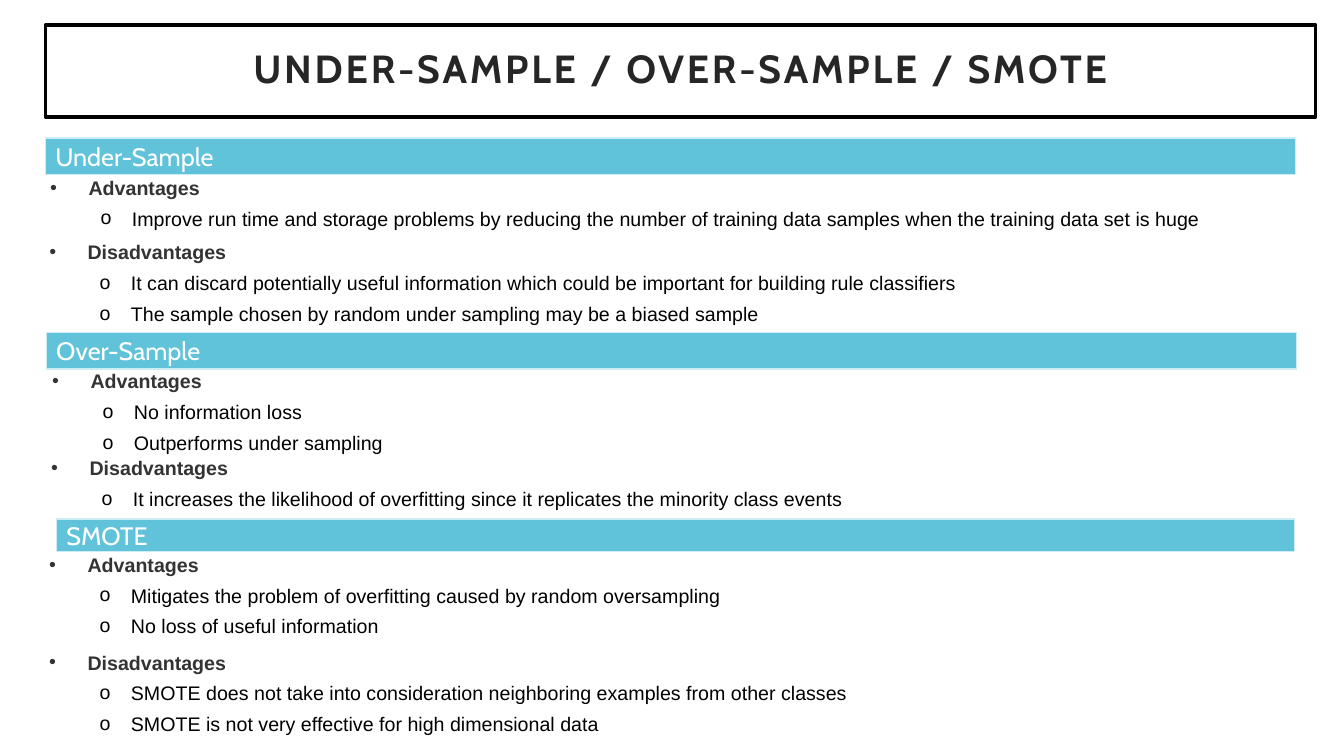
from pptx import Presentation
from pptx.dml.color import RGBColor
from pptx.enum.shapes import MSO_SHAPE
from pptx.enum.text import MSO_ANCHOR, MSO_AUTO_SIZE, PP_ALIGN
from pptx.oxml.ns import qn
from pptx.util import Inches, Pt
from lxml.etree import SubElement

BLACK = RGBColor(0x00, 0x00, 0x00)
WHITE = RGBColor(0xFF, 0xFF, 0xFF)
TITLE_INK = RGBColor(0x26, 0x26, 0x26)
HEAD_INK = RGBColor(0x33, 0x33, 0x33)
TEAL = RGBColor(0x61, 0xC3, 0xDA)
PALE_TEAL = RGBColor(0xCD, 0xEC, 0xF3)

BARS = [
    ("Under-Sample", 0.45, 1.37, 12.4, 0.36),
    ("Over-Sample", 0.46, 3.3, 12.4, 0.36),
    ("SMOTE", 0.56, 5.15, 12.28, 0.32),
]
LISTS = [
    (0.4, 1.76, 12.44, 0.58, "Advantages", [
        "Improve run time and storage problems by reducing the number of "
        "training data samples when the training data set is huge"]),
    (0.39, 2.4, 12.45, 0.89, "Disadvantages", [
        "It can discard potentially useful information which could be "
        "important for building rule classifiers",
        "The sample chosen by random under sampling may be a biased sample"]),
    (0.42, 3.68, 12.44, 0.89, "Advantages", [
        "No information loss",
        "Outperforms under sampling"]),
    (0.41, 4.54, 12.45, 0.58, "Disadvantages", [
        "It increases the likelihood of overfitting since it replicates "
        "the minority class events"]),
    (0.39, 5.5, 12.44, 0.91, "Advantages", [
        "Mitigates the problem of overfitting caused by random oversampling",
        "No loss of useful information"]),
    (0.39, 6.47, 12.34, 0.92, "Disadvantages", [
        "SMOTE does not take into consideration neighboring examples from "
        "other classes",
        "SMOTE is not very effective for high dimensional data"]),
]


def style_run(r, font, size, color, bold=False):
    r.font.name = font
    r.font.size = Pt(size)
    r.font.color.rgb = color
    r.font.bold = bold


def add_bullet(p, char, margin, indent):
    pPr = p._p.get_or_add_pPr()
    pPr.set("marL", str(Inches(margin)))
    pPr.set("indent", str(Inches(indent)))
    SubElement(pPr, qn("a:buFont")).set("typeface", "Arial")
    SubElement(pPr, qn("a:buChar")).set("char", char)


prs = Presentation()
prs.slide_width = Inches(13.33)
prs.slide_height = Inches(7.5)
s = prs.slides.add_slide(prs.slide_layouts[5])

title = s.shapes.title
title.left, title.top = Inches(0.45), Inches(0.25)
title.width, title.height = Inches(12.6), Inches(0.91)
title.line.color.rgb = BLACK
title.line.width = Pt(2.5)
tf = title.text_frame
tf.text = "UNDER-SAMPLE / OVER-SAMPLE / SMOTE"
tf.auto_size = MSO_AUTO_SIZE.NONE
tf.vertical_anchor = MSO_ANCHOR.MIDDLE
tf.margin_left = tf.margin_right = Inches(0.2)
tf.margin_top = tf.margin_bottom = Inches(0.2)
p = tf.paragraphs[0]
p.alignment = PP_ALIGN.CENTER
p.line_spacing = 0.9
r = p.runs[0]
style_run(r, "Cabin", 28, TITLE_INK, True)
r.font._element.set("spc", "200")

for x, y, w, h, heading, points in LISTS:
    sp = s.shapes.add_textbox(Inches(x), Inches(y), Inches(w), Inches(h))
    tf = sp.text_frame
    tf.word_wrap = True
    tf.auto_size = MSO_AUTO_SIZE.SHAPE_TO_FIT_TEXT
    tf.text = "\n".join([heading] + points)
    for i, p in enumerate(tf.paragraphs):
        p.alignment = PP_ALIGN.JUSTIFY
        p.line_spacing = Pt(12)
        p.space_after = Pt(10)
        if i == 0:
            add_bullet(p, "•", 0.38, -0.38)
            style_run(p.runs[0], "Arial", 14, HEAD_INK, True)
        else:
            p.level = 1
            add_bullet(p, "o", 0.81, -0.31)
            style_run(p.runs[0], "Arial", 14, BLACK)

for name, x, y, w, h in BARS:
    sp = s.shapes.add_shape(
        MSO_SHAPE.RECTANGLE, Inches(x), Inches(y), Inches(w), Inches(h))
    sp.shadow.inherit = False
    sp.fill.solid()
    sp.fill.fore_color.rgb = TEAL
    sp.line.color.rgb = PALE_TEAL
    sp.line.width = Pt(1)
    tf = sp.text_frame
    tf.text = name
    tf.vertical_anchor = MSO_ANCHOR.MIDDLE
    p = tf.paragraphs[0]
    p.alignment = PP_ALIGN.LEFT
    style_run(p.runs[0], "Cabin", 18, WHITE)

prs.save("out.pptx")
